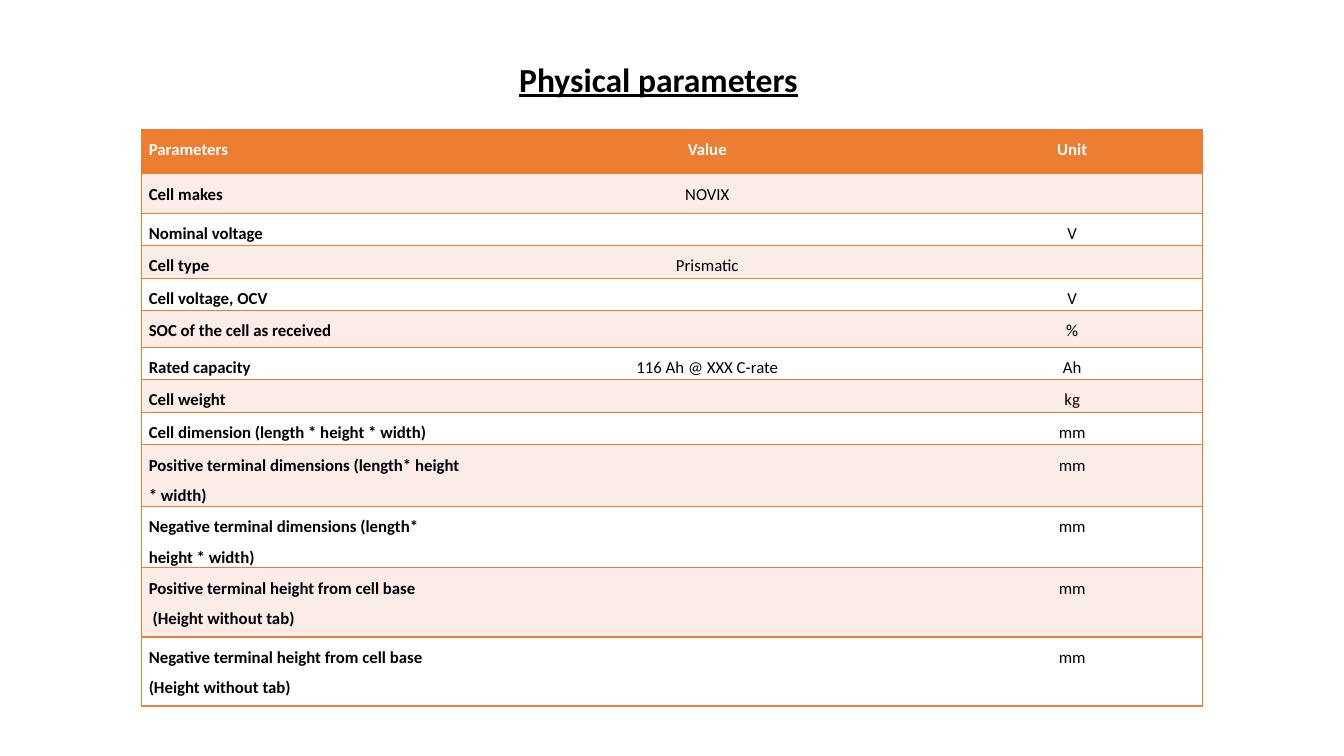
"""Build a slide with a table of the physical parameters of a battery cell."""
from pptx import Presentation
from pptx.dml.color import RGBColor as RGB
from pptx.enum.text import MSO_ANCHOR as ANCHOR, MSO_AUTO_SIZE as AUTO, PP_ALIGN as ALIGN
from pptx.oxml import parse_xml
from pptx.oxml.ns import nsdecls
from pptx.util import Cm, Pt

ORANGE = RGB(0xED, 0x7D, 0x31)
PINK = RGB(0xFC, 0xEC, 0xE8)
WHITE = RGB(0xFF, 0xFF, 0xFF)
BLACK = RGB(0, 0, 0)
FONT = "Calibri"

COL_WIDTHS = [8.36, 11.81, 6.58]
ROWS = [
    (1.11, "Parameters", "Value", "Unit"),
    (0.99, "Cell makes", "NOVIX", ""),
    (0.82, "Nominal voltage", "", "V"),
    (0.82, "Cell type", "Prismatic", ""),
    (0.82, "Cell voltage, OCV", "", "V"),
    (0.92, "SOC of the cell as received", "", "%"),
    (0.82, "Rated capacity", "116 Ah @ XXX C-rate", "Ah"),
    (0.82, "Cell weight", "", "kg"),
    (0.82, "Cell dimension (length * height * width)", "", "mm"),
    (1.55, "Positive terminal dimensions (length* height * width)", "", "mm"),
    (1.55, "Negative terminal dimensions (length* height * width)", "", "mm"),
    (1.74, "Positive terminal height from cell base\v (Height without tab)", "", "mm"),
    (1.74, "Negative terminal height from cell base\v(Height without tab)", "", "mm"),
]


def format_runs(p, size, color, bold, underline=None):
    """Format every run of a paragraph."""
    for r in p.runs:
        r.font.name = FONT
        r.font.size = Pt(size)
        r.font.bold = bold
        r.font.underline = underline
        r.font.color.rgb = color


def add_title(s, text):
    """Place and format the title placeholder."""
    sp = s.shapes.title
    sp.left, sp.top, sp.width, sp.height = Cm(12.83), Cm(1.35), Cm(8.1), Cm(1.27)
    tf = sp.text_frame
    tf.text = text
    tf.word_wrap = True
    tf.auto_size = AUTO.SHAPE_TO_FIT_TEXT
    tf.vertical_anchor = ANCHOR.TOP
    p = tf.paragraphs[0]
    p.alignment = ALIGN.LEFT
    format_runs(p, 24, BLACK, True, True)


def set_borders(cell, sides):
    """Draw orange lines on the given sides and none on the others."""
    for side in "LRTB":
        paint = (f'<a:solidFill><a:srgbClr val="{ORANGE}"/></a:solidFill>'
                 if side in sides else "<a:noFill/>")
        cell._tc.get_or_add_tcPr().append(parse_xml(
            f'<a:ln{side} {nsdecls("a")} w="{Pt(1)}">{paint}</a:ln{side}>'))


def fill_cell(cell, text, fill, color, bold, align):
    """Set the fill, margins and text of one cell."""
    cell.fill.solid()
    cell.fill.fore_color.rgb = fill
    cell.margin_left = cell.margin_right = Cm(0.19)
    cell.margin_top = cell.margin_bottom = 0
    if text:
        p = cell.text_frame.paragraphs[0]
        p.text = text
        p.alignment = align
        p.line_spacing = 1.5
        p.space_after = Pt(8)
        format_runs(p, 12, color, bold)


def add_parameter_table(s):
    """Add the table with its header and banded rows."""
    height = sum(row[0] for row in ROWS)
    table = s.shapes.add_table(len(ROWS), len(COL_WIDTHS), Cm(3.56), Cm(3.27),
                               Cm(sum(COL_WIDTHS)), Cm(height)).table
    for col, width in zip(table.columns, COL_WIDTHS):
        col.width = Cm(width)
    for i, (row_height, *texts) in enumerate(ROWS):
        table.rows[i].height = Cm(row_height)
        header = i == 0
        fill = ORANGE if header else PINK if i % 2 else WHITE
        for j, text in enumerate(texts):
            cell = table.cell(i, j)
            set_borders(cell, ("LTB", "TB", "RTB")[j])
            fill_cell(cell, text, fill, WHITE if header else BLACK,
                      header or j == 0, ALIGN.CENTER if j else ALIGN.LEFT)


def main():
    """Create the presentation and save it."""
    prs = Presentation()
    prs.slide_width, prs.slide_height = Cm(33.87), Cm(19.05)
    s = prs.slides.add_slide(prs.slide_layouts[5])
    add_parameter_table(s)
    add_title(s, "Physical parameters")
    prs.save("out.pptx")


if __name__ == "__main__":
    main()
